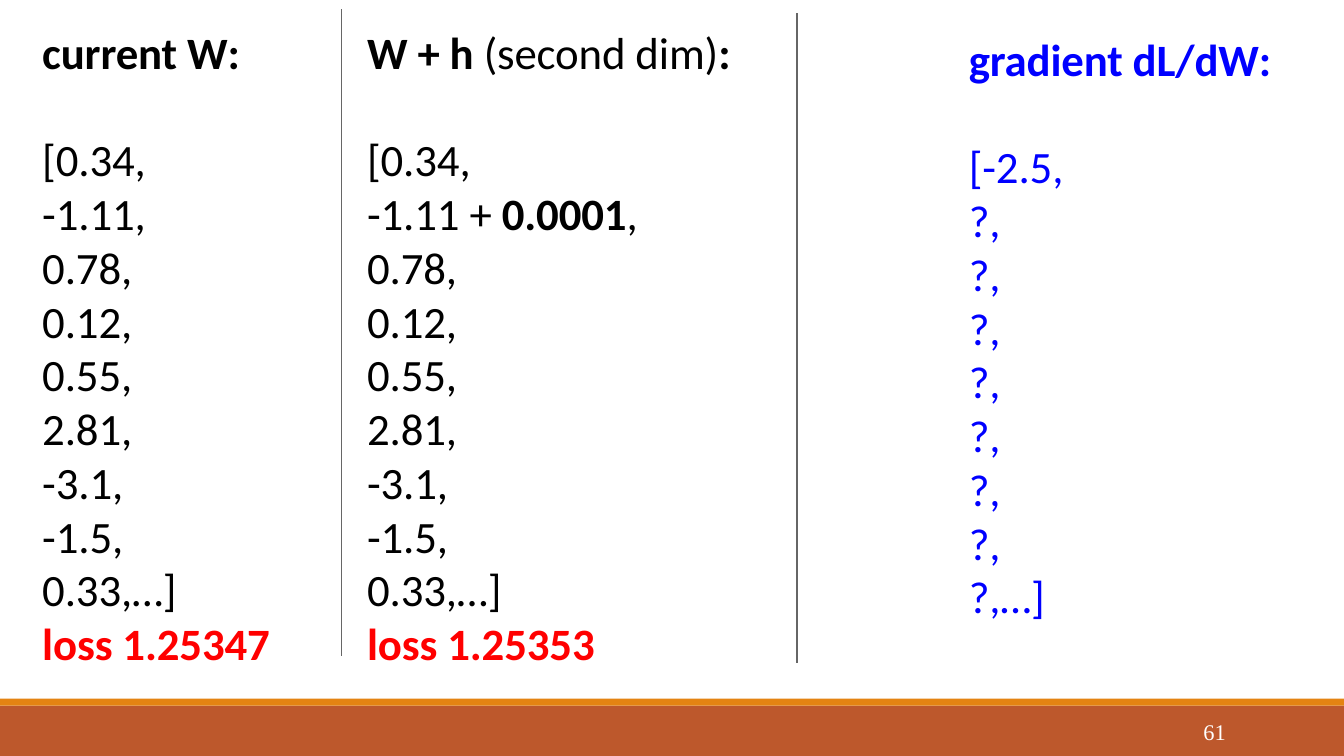
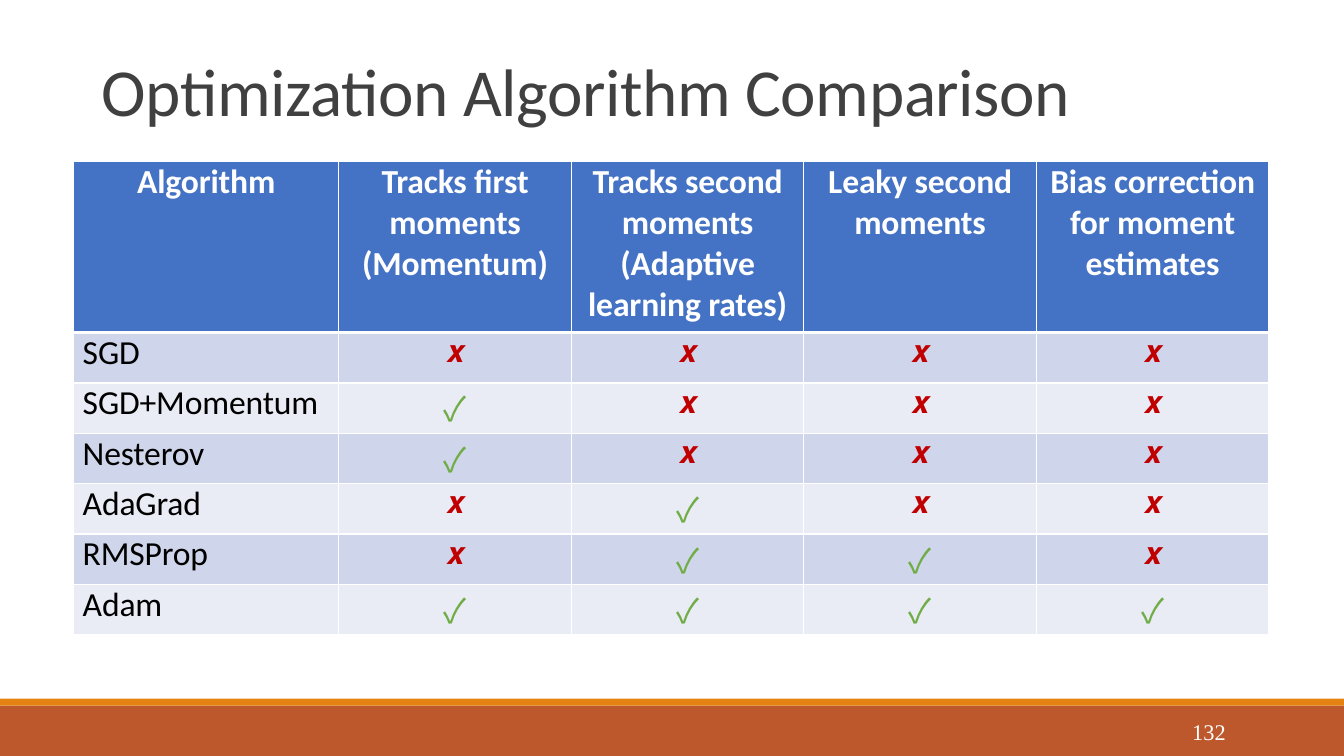
from lxml import etree
from pptx import Presentation
from pptx.dml.color import RGBColor
from pptx.enum.shapes import MSO_CONNECTOR, MSO_SHAPE
from pptx.enum.text import MSO_ANCHOR, PP_ALIGN
from pptx.oxml.ns import qn
from pptx.util import Pt

RECT, STRAIGHT = MSO_SHAPE.RECTANGLE, MSO_CONNECTOR.STRAIGHT
LEFT, CENTER, RIGHT = PP_ALIGN.LEFT, PP_ALIGN.CENTER, PP_ALIGN.RIGHT
TOP, MIDDLE = MSO_ANCHOR.TOP, MSO_ANCHOR.MIDDLE
W, H = 960, 540
FONT = "Calibri"
C = {
    "band": "BD582C", "stripe": "E48312", "white": "FFFFFF", "black": "000000",
    "title": "404040", "gradient": "0000FF", "loss": "FF0000", "rule": "666666",
    "header": "4472C4", "odd": "CFD5EA", "even": "E9EBF5",
    "yes": "70AD47", "no": "C00000",
}
MARKS = {"✓": ("Noto Sans CJK JP", "yes"), "𝙭": ("Cambria", "no")}

WEIGHTS = ["0.78,", "0.12,", "0.55,", "2.81,", "-3.1,", "-1.5,", "0.33,…]"]
HEADERS = [
    "Algorithm", "Tracks first moments (Momentum)",
    "Tracks second moments (Adaptive learning rates)",
    "Leaky second moments", "Bias correction for moment estimates",
]
ALGORITHMS = [
    ("SGD", "𝙭𝙭𝙭𝙭"),
    ("SGD+Momentum", "✓𝙭𝙭𝙭"),
    ("Nesterov", "✓𝙭𝙭𝙭"),
    ("AdaGrad", "𝙭✓𝙭𝙭"),
    ("RMSProp", "𝙭✓✓𝙭"),
    ("Adam", "✓✓✓✓"),
]


def rgb(name):
    """Return the named palette colour."""
    return RGBColor.from_string(C[name])


def style(r, size, color, bold=False, font=FONT, spacing=-0.1):
    """Format one run, with letter spacing in points."""
    r.font.size, r.font.bold, r.font.name = Pt(size), bold, font
    r.font.color.rgb = rgb(color)
    rPr = r.font._element
    rPr.set("spc", str(round(spacing * 100)))
    for tag in ("a:ea", "a:cs", "a:sym"):
        if font != FONT and tag != "a:sym":
            etree.SubElement(rPr, qn(tag)).set("typeface", font)


def add_text(s, box, paragraphs, size, color, align=LEFT, anchor=TOP,
             leading=None, **kw):
    """Add a text box; each paragraph is a list of (text, bold, colour) runs."""
    tf = s.shapes.add_textbox(*map(Pt, box)).text_frame
    tf.word_wrap, tf.vertical_anchor = True, anchor
    tf.margin_left = tf.margin_right = tf.margin_top = tf.margin_bottom = 0
    for i, runs in enumerate(paragraphs):
        p = tf.paragraphs[0] if i == 0 else tf.add_paragraph()
        p.alignment = align
        if leading:
            p.line_spacing = Pt(leading)
        for text, bold, tint in runs:
            r = p.add_run()
            r.text = text
            style(r, size, tint or color, bold, **kw)


def plain(lines):
    """Turn strings into regular one-run paragraphs."""
    return [[(line, False, None)] for line in lines]


def add_base(prs, number):
    """Add a slide with the footer bands and its page number."""
    s = prs.slides.add_slide(prs.slide_layouts[6])
    for top, height, color in ((504, 36, "band"), (499, 5, "stripe")):
        sp = s.shapes.add_shape(RECT, 0, Pt(top), Pt(W), Pt(height))
        sp.shadow.inherit = False
        sp.fill.solid()
        sp.fill.fore_color.rgb = rgb(color)
        sp.line.fill.background()
    add_text(s, (780, 508.5, 95.5, 28.8), plain([number]), 16, "white",
             RIGHT, MIDDLE, font="Times New Roman", spacing=0)
    return s


def add_column(s, box, heading, paragraphs, color="black"):
    """Add a heading and the vector listed below it."""
    left, top, width, height = box
    add_text(s, (left, top, width, 34), [heading], 32, color)
    add_text(s, (left, top + 77, width, height - 77), paragraphs, 32, color,
             leading=38.4)


def add_rule(s, x, top, bottom):
    """Add a thin vertical divider."""
    sp = s.shapes.add_connector(STRAIGHT, Pt(x), Pt(top), Pt(x), Pt(bottom))
    sp.line.color.rgb, sp.line.width = rgb("rule"), Pt(0.75)
    etree.SubElement(sp._element.spPr, qn("a:effectLst"))


def add_border(cell, side, width):
    """Add a white border to one side of a cell."""
    ln = etree.SubElement(cell._tc.get_or_add_tcPr(), qn("a:ln" + side))
    ln.set("w", str(Pt(width)))
    fill = etree.SubElement(ln, qn("a:solidFill"))
    etree.SubElement(fill, qn("a:srgbClr")).set("val", C["white"])


def fill_cell(cell, text, row, col):
    """Write and format one cell according to its place in the table."""
    for side in "LRTB":
        thick = (row, side) in ((0, "B"), (1, "T"))
        add_border(cell, side, 3 if thick else 1)
    cell.fill.solid()
    shade = "header" if row == 0 else ("even", "odd")[row % 2]
    cell.fill.fore_color.rgb = rgb(shade)
    cell.margin_top = cell.margin_bottom = 0
    cell.margin_left = cell.margin_right = Pt(6.5 if col == 0 else 5)
    p = cell.text_frame.paragraphs[0]
    p.text = text
    p.alignment = LEFT if row and col == 0 else CENTER
    font, color = MARKS.get(text, (FONT, "black" if row else "white"))
    style(p.runs[0], 24, color, row == 0, font)


def add_comparison(s, box):
    """Add the table of algorithms and their features."""
    left, top, width, height = box
    rows = [HEADERS] + [[name, *marks] for name, marks in ALGORITHMS]
    table = s.shapes.add_table(len(rows), len(HEADERS), *map(Pt, box)).table
    first, head = 189.4, 122.4
    for j, column in enumerate(table.columns):
        column.width = Pt((width - first) / (len(HEADERS) - 1) if j else first)
    for i, row in enumerate(rows):
        table.rows[i].height = Pt((height - head) / len(ALGORITHMS) if i else head)
        for j, text in enumerate(row):
            fill_cell(table.cell(i, j), text, i, j)


def gradient_slide(prs):
    """Build the numerical gradient slide."""
    s = add_base(prs, "61")
    add_column(
        s, (30.2, 17.3, 200, 456), [("current W:", True, None)],
        plain(["[0.34,", "-1.11,"] + WEIGHTS) + [[("loss 1.25347", True, "loss")]])
    add_rule(s, 244, 6.5, 468.5)
    shifted = [("-1.11 + ", False, None), ("0.0001", True, None), (",", False, None)]
    add_column(
        s, (262.2, 17.3, 290, 456),
        [("W + h ", True, None), ("(second dim)", False, None), (":", True, None)],
        plain(["[0.34,"]) + [shifted] + plain(WEIGHTS)
        + [[("loss 1.25353", True, "loss")]])
    add_rule(s, 569.3, 9.4, 473.8)
    add_column(
        s, (692, 22.3, 240, 418), [("gradient dL/dW:", True, None)],
        plain(["[-2.5,"] + ["?,"] * 7 + ["?,…]"]), "gradient")


def comparison_slide(prs):
    """Build the algorithm comparison slide."""
    s = add_base(prs, "132")
    add_text(s, (72.7, 35.3, 816, 60), plain(["Optimization Algorithm Comparison"]),
             48, "title", spacing=-0.3)
    add_comparison(s, (52.6, 115.2, 853.8, 338.4))


def main():
    """Build and save the presentation."""
    prs = Presentation()
    prs.slide_width, prs.slide_height = Pt(W), Pt(H)
    gradient_slide(prs)
    comparison_slide(prs)
    prs.save("out.pptx")


if __name__ == "__main__":
    main()
